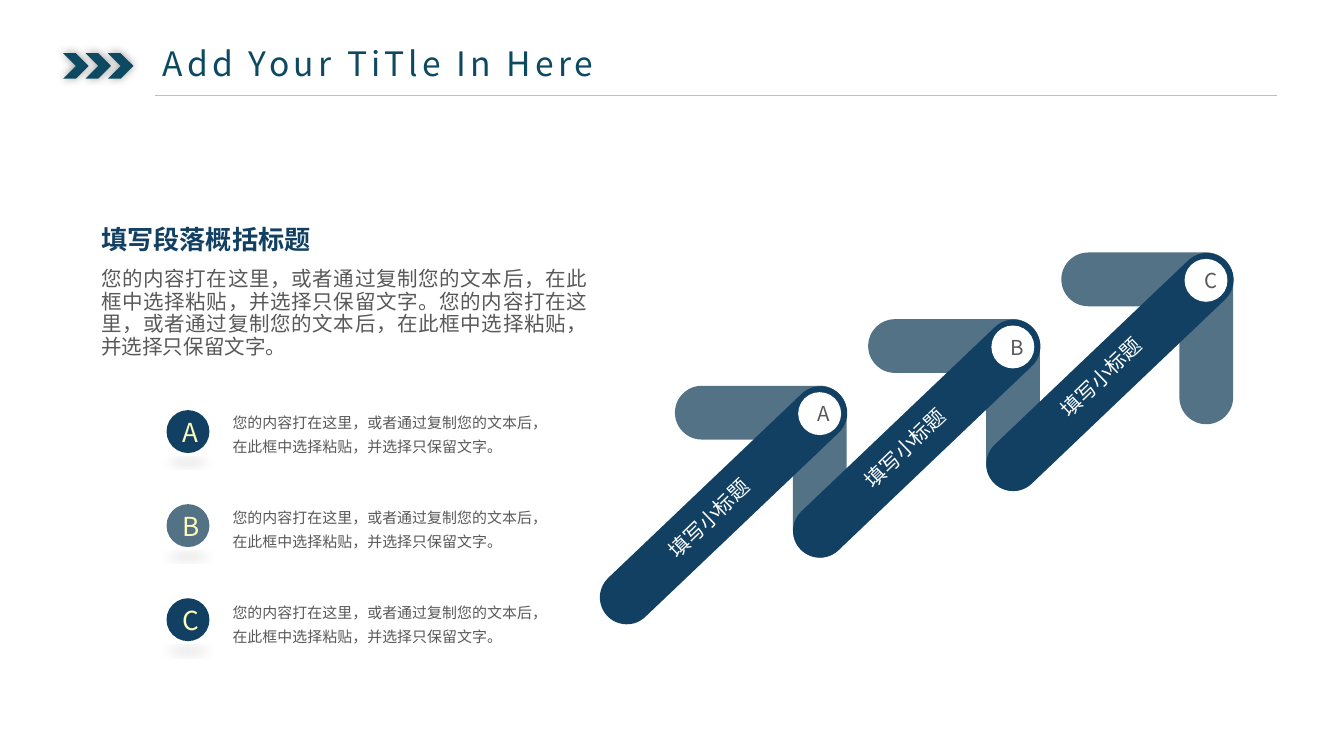
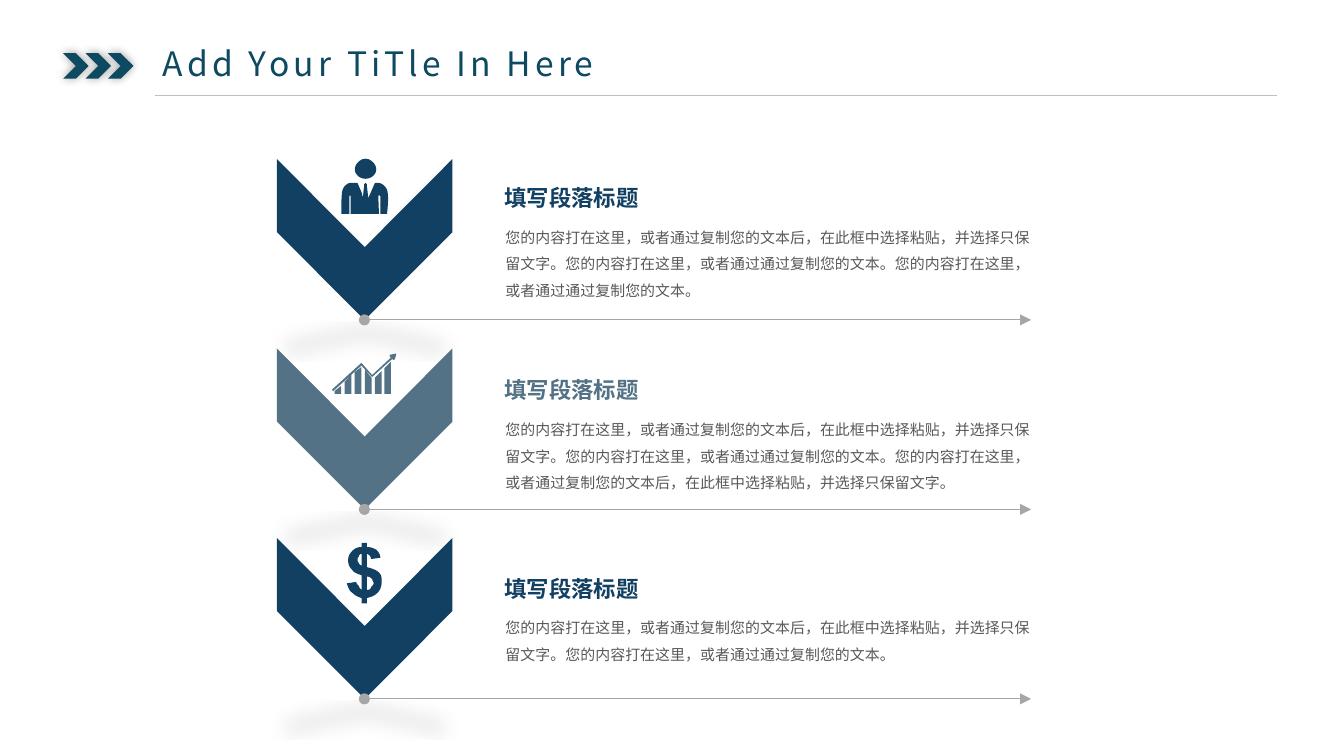
import lxml.etree
import pptx
import pptx.dml.color
import pptx.enum.shapes
import pptx.enum.text
import pptx.oxml
import pptx.oxml.ns
import pptx.util

Pt = pptx.util.Pt
SHAPE = pptx.enum.shapes.MSO_SHAPE
ALIGN = pptx.enum.text.PP_ALIGN
ANCHOR = pptx.enum.text.MSO_ANCHOR
AUTO_SIZE = pptx.enum.text.MSO_AUTO_SIZE

NAVY, SLATE, TEAL = "124062", "537285", "0D4960"
GREY, WHITE, CREAM = "595959", "FFFFFF", "FEFABC"
RULE_GREY, ARROW_GREY = "BFBFBF", "A6A6A6"
FONT, TITLE_FONT = "Noto Sans CJK SC", "Noto Sans CJK JP"

TITLE = "Add Your TiTle In Here"
PASTE = "您的内容打在这里，或者通过复制您的文本后，在此框中选择粘贴，并选择只保留文字。"
COPY = "您的内容打在这里，或者通过通过复制您的文本。"

SUMMARY_HEADING = "填写段落概括标题"
ARROW_LABEL = "填写小标题"
STEPS = [("A", NAVY), ("B", SLATE), ("C", NAVY)]

# Icon outlines: a pair is a corner, six numbers are a cubic curve.
ICON_UNIT = 0.72
PERSON = [
    [(18, 18), (19, 19), (19, 20), (20, 29), (18, 34), (22, 25), (25, 18), (27, 18),
     (29, 18, 32, 19, 34, 23), (35, 25, 35, 34, 34, 41), (29, 41), (29, 28),
     (28, 27), (27.5, 28), (28, 41), (7, 41), (7, 28), (6.5, 27), (6, 28), (6, 41),
     (0, 41), (0, 34, 0, 25, 1, 23), (2, 20, 5, 18, 7, 18), (12, 18), (15, 25),
     (16, 29), (17, 20), (17, 19)],
    [(18, 0), (22, 0, 26, 4, 26, 8), (26, 12, 22, 15, 18, 15),
     (14, 15, 10, 12, 10, 8), (10, 4, 14, 0, 18, 0)],
]
GROWTH_BARS = [(2, 28, 24), (9.5, 21, 16), (17, 14, 10),
               (24.5, 12, 18), (32, 18, 13), (39, 11, 6)]
GROWTH = [[(left, start), (left + 5, end), (left + 5, 30), (left, 30)]
          for left, start, end in GROWTH_BARS]
GROWTH.append([(0, 27), (22, 7), (30, 16), (44, 3), (43, 2), (43, 1), (48, 0),
               (47, 4), (46, 5), (45, 4), (30, 17.5), (22, 9), (1, 28)])
DOLLAR = [
    [(11, 35), (11, 24), (8, 23, 5, 22, 4, 20), (2, 18, 1, 16, 1, 13),
     (1, 10, 2, 8, 4, 6), (6, 4, 8, 3, 11, 3), (11, 0), (15, 0), (15, 3),
     (18, 3, 20, 4, 22, 5), (24, 7, 25, 9, 25, 11), (18, 12),
     (18, 10, 17, 9, 15, 8), (15, 18), (19, 19, 22, 20, 24, 22),
     (26, 24, 26, 26, 26, 29), (26, 32, 25, 35, 23, 37),
     (21, 39, 19, 40, 15, 41), (15, 45), (11, 45), (11, 41),
     (8, 40, 6, 39, 4, 37), (2, 36, 1, 33, 0, 30), (7, 29),
     (7, 30, 8, 31, 9, 32), (9, 33, 10, 34, 11, 35)],
    [(11, 8), (10, 8, 9, 9, 9, 10), (8, 11, 8, 12, 8, 13),
     (8, 13, 8, 14, 9, 15), (9, 16, 10, 16, 11, 17)],
    [(15, 35), (17, 35, 18, 34, 18, 33), (19, 32, 20, 31, 20, 30),
     (20, 29, 19, 28, 19, 27), (18, 26, 17, 25, 15, 25)],
]

SECTION_HEADING = "填写段落标题"
SECTIONS = [  # body, colour, heading top, body height, icon, icon place
    (PASTE + COPY + COPY, NAVY, 91.4, 49, PERSON, (182.9, 85)),
    (PASTE + COPY + PASTE, SLATE, 194.4, 49, GROWTH, (177.8, 189.4)),
    (PASTE + COPY, NAVY, 300.7, 33, DOLLAR, (185.8, 290.9)),
]
POINTER = [(94, 39.2), (47, 86.2), (0, 39.2), (0, 0), (47, 47.2), (94, 0)]


def color(value):
    return pptx.dml.color.RGBColor.from_string(value)


def add_effects(shape, shadow=""):
    namespace = pptx.oxml.ns.nsdecls("a")
    effects = pptx.oxml.parse_xml(f"<a:effectLst {namespace}>{shadow}</a:effectLst>")
    properties = shape._element.spPr
    for old in properties.findall(pptx.oxml.ns.qn("a:effectLst")):
        properties.remove(old)
    properties.append(effects)


def shadow_xml(alpha, blur, distance=0, extra=""):
    return (f'<a:outerShdw blurRad="{Pt(blur)}" dist="{Pt(distance)}" dir="5400000" {extra}>'
            f'<a:srgbClr val="000000"><a:alpha val="{alpha * 1000}"/></a:srgbClr>'
            "</a:outerShdw>")


def reflected_shadow(blur):
    return shadow_xml(10, blur, 3, 'sx="90000" sy="-19000" rotWithShape="0"')


def paint(shape, fill, shadow=""):
    shape.fill.solid()
    shape.fill.fore_color.rgb = color(fill)
    shape.line.fill.background()
    shape.shadow.inherit = False
    if shadow:
        add_effects(shape, shadow)


def add_filled(slide, kind, box, fill, rotation=0, shadow=""):
    shape = slide.shapes.add_shape(kind, *map(Pt, box))
    shape.rotation = rotation
    paint(shape, fill, shadow)
    return shape


def flatten(contour):
    """Turn corners and cubic curves into a list of points."""
    points = []
    for item in contour:
        if len(item) == 2:
            points.append(item)
            continue
        controls = [points[-1], item[:2], item[2:4], item[4:]]
        for step in range(1, 6):
            t = step / 5
            weights = ((1 - t) ** 3, 3 * t * (1 - t) ** 2, 3 * t * t * (1 - t), t ** 3)
            points.append(tuple(sum(weight * control[axis]
                                    for weight, control in zip(weights, controls))
                                for axis in (0, 1)))
    return points


def add_outline(slide, contours, place, fill, unit=1, shadow=""):
    left, top = place
    builder = None
    for contour in contours:
        points = [(Pt(left + x * unit), Pt(top + y * unit)) for x, y in flatten(contour)]
        if builder is None:
            builder = slide.shapes.build_freeform(*points[0], scale=1.0)
        else:
            builder.move_to(*points[0])
        builder.add_line_segments(points[1:], close=True)
    paint(builder.convert_to_shape(), fill, shadow)


def add_line(slide, start, end, line_color, ends=()):
    line = slide.shapes.add_connector(pptx.enum.shapes.MSO_CONNECTOR.STRAIGHT,
                                      *map(Pt, start + end))
    line.line.color.rgb = color(line_color)
    line.line.width = Pt(0.5)
    for tag, kind in ends:
        lxml.etree.SubElement(line.line._get_or_add_ln(), pptx.oxml.ns.qn(tag), type=kind)
    add_effects(line)


def write(paragraph, text, size, text_color, bold=False, font=FONT, spacing=None, **layout):
    run = paragraph.add_run()
    run.text = text
    for name, value in layout.items():
        setattr(paragraph, name, value)
    for name, value in {"size": Pt(size), "bold": bold, "name": font}.items():
        setattr(run.font, name, value)
    run.font.color.rgb = color(text_color)
    properties = run._r.get_or_add_rPr()
    lxml.etree.SubElement(properties, pptx.oxml.ns.qn("a:ea"), typeface=font)
    if spacing:
        properties.set("spc", str(spacing))


def set_frame(shape, insets=(5, 3, 5, 3), **settings):
    frame = shape.text_frame
    sides = ("margin_left", "margin_top", "margin_right", "margin_bottom")
    values = dict(zip(sides, map(Pt, insets)))
    values.update({"word_wrap": True, **settings})
    for name, value in values.items():
        setattr(frame, name, value)
    return frame


def add_text_box(slide, box, rotation=0, insets=(5, 3, 5, 3), wrap=True):
    shape = slide.shapes.add_textbox(*map(Pt, box))
    shape.rotation = rotation
    return set_frame(shape, insets, word_wrap=wrap, auto_size=AUTO_SIZE.SHAPE_TO_FIT_TEXT)


def add_letter_disc(slide, letter, left, top, fill, size, text_color, insets, shadow=""):
    disc = add_filled(slide, SHAPE.OVAL, (left, top, 23, 23), fill, shadow=shadow)
    frame = set_frame(disc, insets, vertical_anchor=ANCHOR.MIDDLE)
    write(frame.paragraphs[0], letter, size, text_color, alignment=ALIGN.CENTER)


def add_titled_slide(presentation):
    slide = presentation.slides.add_slide(presentation.slide_layouts[5])
    for index in range(3):
        add_filled(slide, SHAPE.CHEVRON, (33.8 + 12 * index, 28.5, 13.7, 13.7), TEAL,
                   shadow=shadow_xml(40, 5))
    title = slide.shapes.title
    for name, value in zip(("left", "top", "width", "height"), (82.8, 20.9, 313, 26)):
        setattr(title, name, Pt(value))
    frame = set_frame(title, (4.5, 2, 4.5, 2), vertical_anchor=ANCHOR.TOP,
                      auto_size=AUTO_SIZE.NONE)
    write(frame.paragraphs[0], TITLE, 18, TEAL, font=TITLE_FONT, spacing=220,
          alignment=ALIGN.LEFT, line_spacing=1.0)
    add_line(slide, (83, 51.2), (684, 51.2), RULE_GREY)
    return slide


def build_arrow_slide(presentation):
    slide = add_titled_slide(presentation)
    for index, (letter, _) in enumerate(STEPS):
        x, y = 103.5 * index, -35.7 * index
        bars = [((361.6, 206.7, 92, 28.8), 0, SLATE),
                ((393.2, 238.3, 92, 28.8), 90, SLATE),
                ((301.6, 256.3, 172, 28.8), 136.4, NAVY)]
        for (left, top, width, height), rotation, fill in bars:
            bar = add_filled(slide, SHAPE.ROUNDED_RECTANGLE,
                             (left + x, top + y, width, height), fill, rotation)
            bar.adjustments[0] = 0.5
        add_letter_disc(slide, letter, 427.6 + x, 210.1 + y, WHITE, 11, GREY,
                        (7.2, 3.6, 7.2, 3.6))
    for index in range(len(STEPS)):
        label = add_text_box(slide, (347 + 105 * index, 267.8 - 37.8 * index, 66, 19),
                             rotation=316, wrap=False)
        write(label.paragraphs[0], ARROW_LABEL, 11, WHITE)

    summary = add_text_box(slide, (49.2, 119.5, 270.5, 77), insets=(5, 5, 5, 3))
    layout = {"alignment": ALIGN.JUSTIFY, "line_spacing": Pt(12)}
    write(summary.paragraphs[0], SUMMARY_HEADING, 14, NAVY, bold=True, **layout)
    write(summary.add_paragraph(), PASTE * 2, 11, GREY, space_before=Pt(7.5), **layout)

    for index, (letter, fill) in enumerate(STEPS):
        add_letter_disc(slide, letter, 89.2, 219.7 + 50.4 * index, fill, 14, CREAM,
                        (5, 3, 5, 3), reflected_shadow(6))
        note = add_text_box(slide, (119.6, 215.5 + 50.7 * index, 175, 32))
        write(note.paragraphs[0], PASTE, 8, GREY, line_spacing=Pt(12.8))


def build_section_slide(presentation):
    slide = add_titled_slide(presentation)
    for index, (body, fill, top, height, icon, icon_place) in enumerate(SECTIONS):
        pointer_top = 85.2 + 101.5 * index
        add_outline(slide, [POINTER], (148.4, pointer_top), fill,
                    shadow=reflected_shadow(11))
        add_outline(slide, icon, icon_place, fill, unit=ICON_UNIT)
        text = add_text_box(slide, (265.8, top + 23, 295.2, height))
        write(text.paragraphs[0], body, 8, GREY, line_spacing=1.5)
        heading = add_text_box(slide, (265.2, top, 83.5, 20), insets=(5, 0, 5, 0), wrap=False)
        write(heading.paragraphs[0], SECTION_HEADING, 12, fill, bold=True, line_spacing=1.5)
    for index in range(len(SECTIONS)):
        y = 171.4 + 101.5 * index
        add_line(slide, (195.2, y), (552.4, y), ARROW_GREY,
                 [("a:headEnd", "oval"), ("a:tailEnd", "triangle")])


def main():
    presentation = pptx.Presentation()
    presentation.slide_width, presentation.slide_height = Pt(720), Pt(405)
    build_arrow_slide(presentation)
    build_section_slide(presentation)
    presentation.save("out.pptx")


if __name__ == "__main__":
    main()
